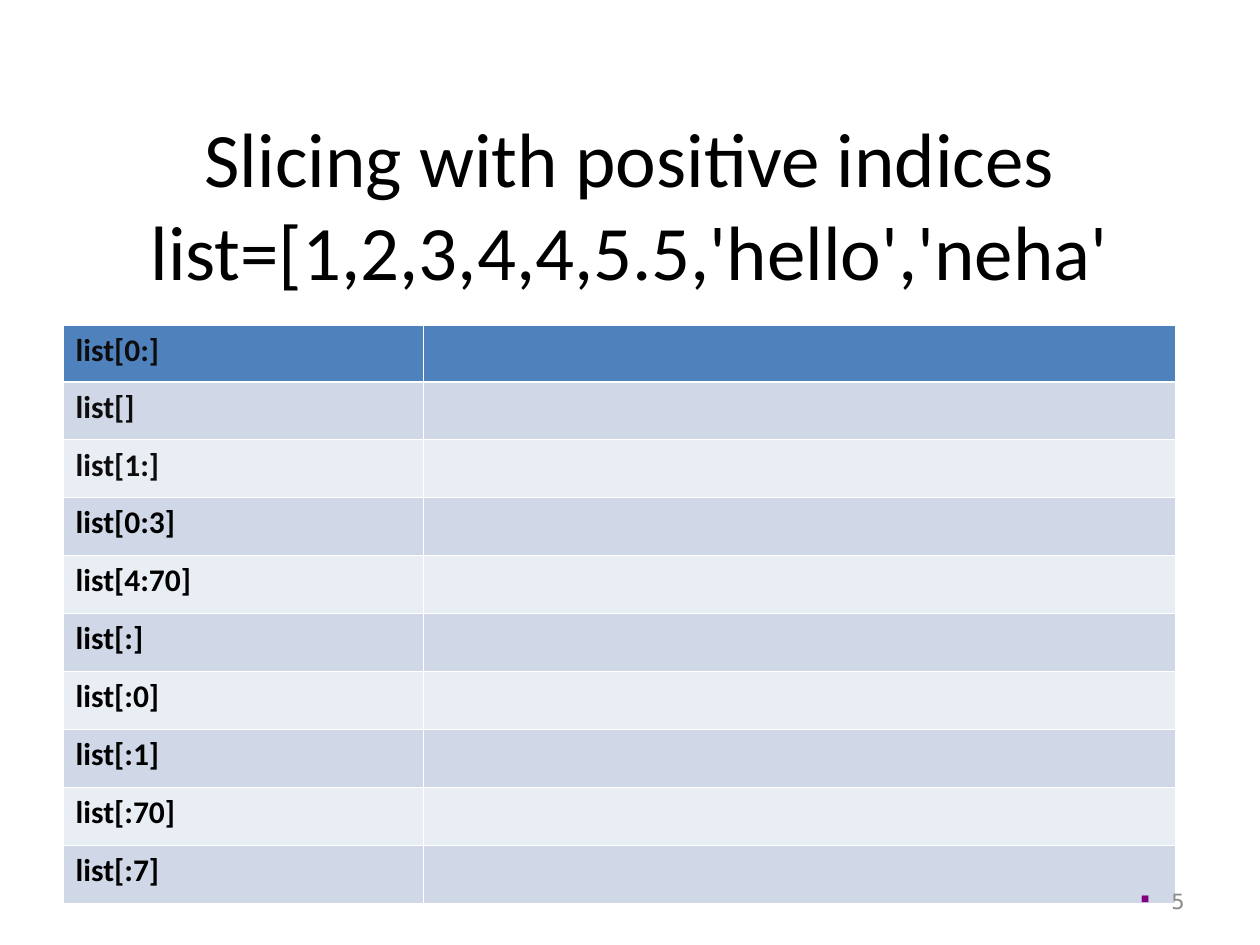
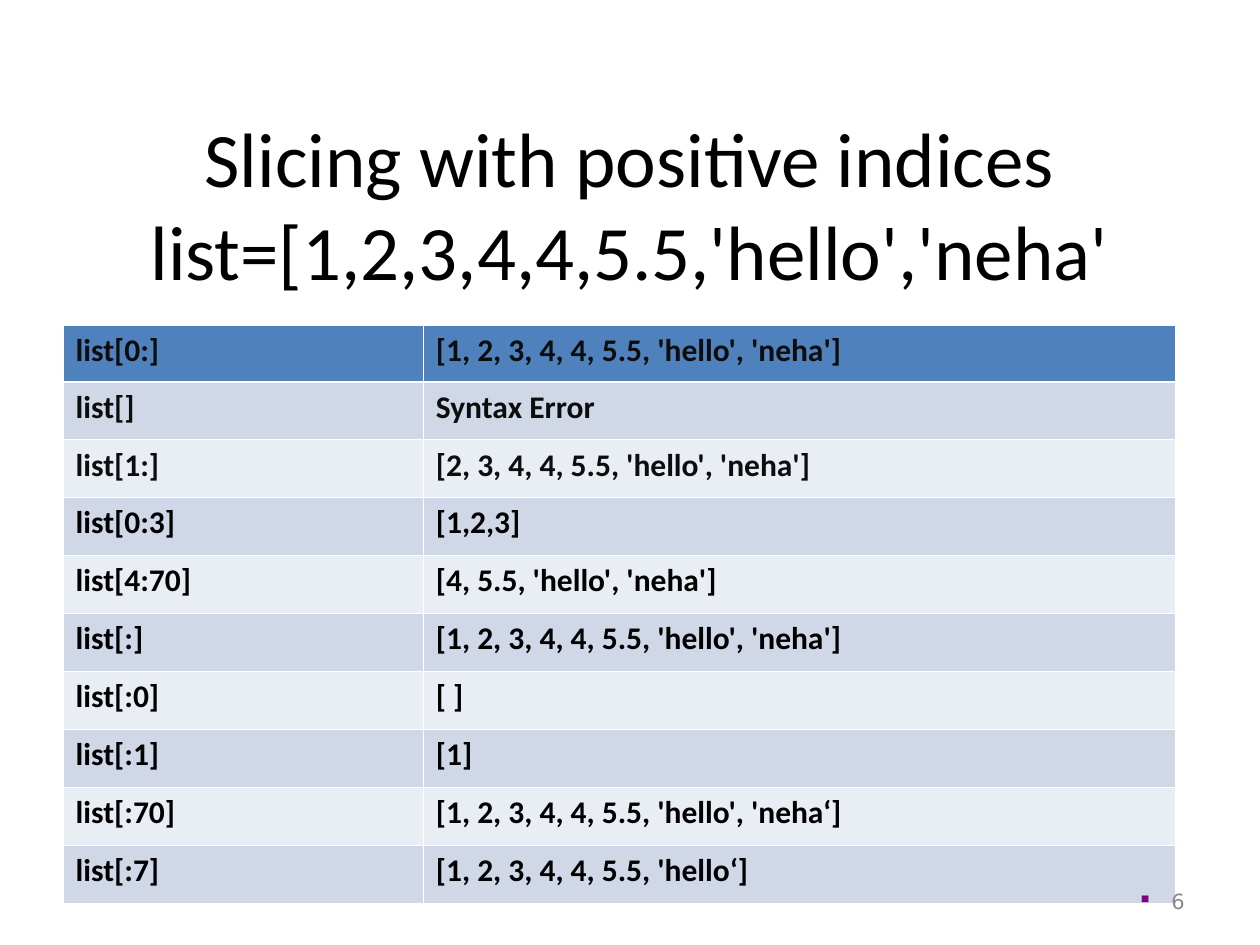
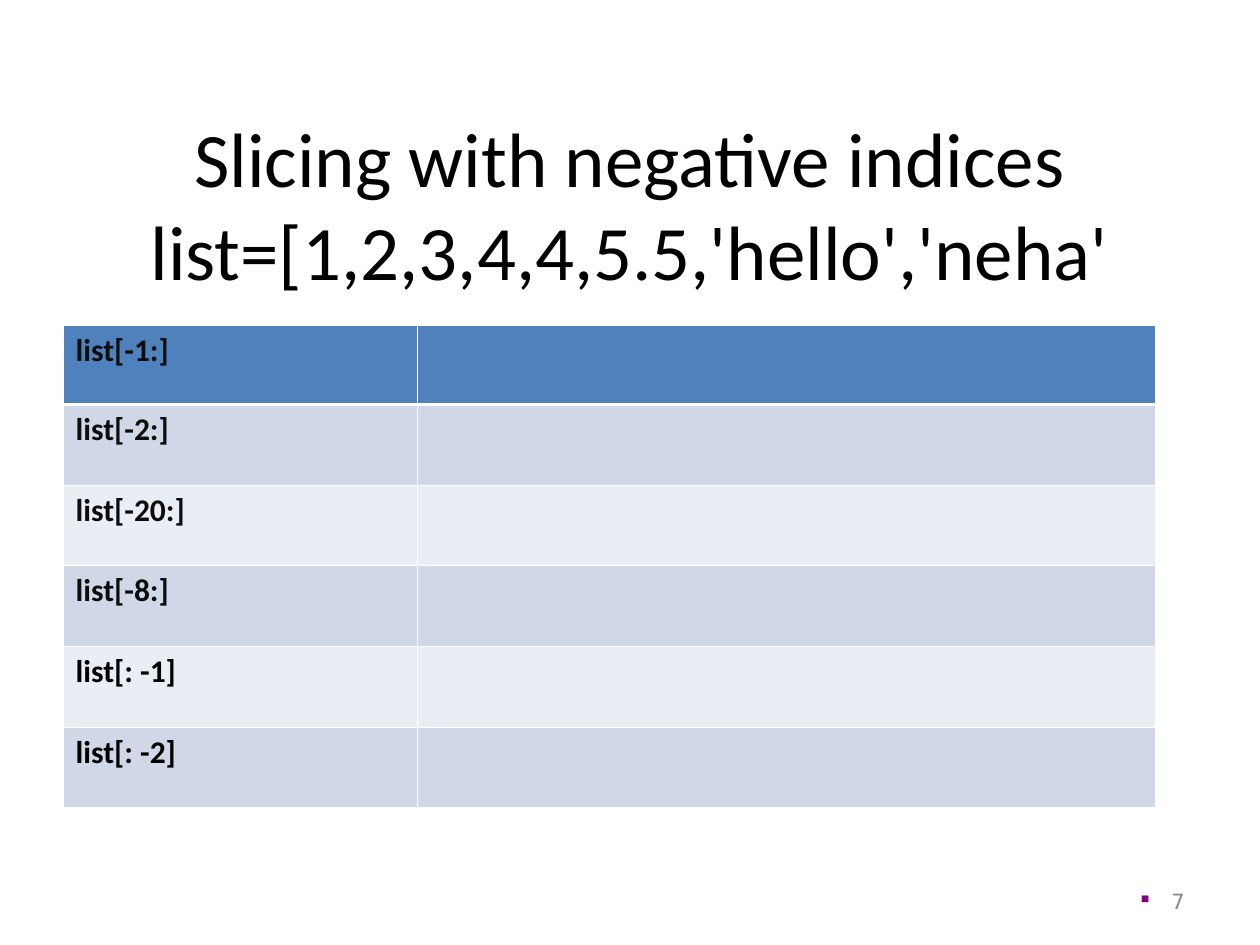
from lxml import etree
from pptx import Presentation
from pptx.dml.color import RGBColor
from pptx.enum.text import MSO_ANCHOR, PP_ALIGN
from pptx.oxml.ns import qn
from pptx.util import Inches, Pt

BLACK = RGBColor(0x00, 0x00, 0x00)
SOFT_BLACK = RGBColor(0x0D, 0x0D, 0x0D)
HEADER_BLUE = RGBColor(0x4F, 0x81, 0xBD)
BAND_DARK = RGBColor(0xD0, 0xD8, 0xE8)
BAND_LIGHT = RGBColor(0xE9, 0xED, 0xF4)
WHITE = RGBColor(0xFF, 0xFF, 0xFF)
GREY = RGBColor(0x89, 0x89, 0x89)
PURPLE = RGBColor(0x80, 0x00, 0x80)
THIN, THICK = Pt(0.45), Pt(1.47)

LIST_LINE = "list=[1,2,3,4,4,5.5,'hello','neha'"
POSITIVE = ["list[0:]", "list[]", "list[1:]", "list[0:3]", "list[4:70]",
            "list[:]", "list[:0]", "list[:1]", "list[:70]", "list[:7]"]
RESULTS = ["[1, 2, 3, 4, 4, 5.5, 'hello', 'neha']", "Syntax Error",
           "[2, 3, 4, 4, 5.5, 'hello', 'neha']", "[1,2,3]",
           "[4, 5.5, 'hello', 'neha']",
           "[1, 2, 3, 4, 4, 5.5, 'hello', 'neha']", "[ ]", "[1]",
           "[1, 2, 3, 4, 4, 5.5, 'hello', 'neha‘]",
           "[1, 2, 3, 4, 4, 5.5, 'hello‘]"]
NEGATIVE = ["list[-1:]", "list[-2:]", "list[-20:]", "list[-8:]",
            "list[: -1]", "list[: -2]"]

# number, title, slices, results, column widths, header and row height, soft rows
SLIDES = [
    (5, "Slicing with positive indices", POSITIVE, [""] * len(POSITIVE),
     (2.86, 5.97), 0.45, 0.46, 3),
    (6, "Slicing with positive indices", POSITIVE, RESULTS,
     (2.86, 5.97), 0.45, 0.46, 3),
    (7, "Slicing with negative indices", NEGATIVE, [""] * len(NEGATIVE),
     (2.81, 5.86), 0.63, 0.64, 4),
]


def format_runs(p, font, size, color, bold=False):
    for r in p.runs:
        r.font.name = font
        r.font.size = Pt(size)
        r.font.color.rgb = color
        r.font.bold = bold


def set_borders(cell, top, bottom):
    """Draw white cell borders; the sides are always thin."""
    tcPr = cell._tc.get_or_add_tcPr()
    sides = (("a:lnL", THIN), ("a:lnR", THIN), ("a:lnT", top), ("a:lnB", bottom))
    for i, (tag, width) in enumerate(sides):
        ln = etree.Element(qn(tag), w=str(int(width)))
        fill = etree.SubElement(ln, qn("a:solidFill"))
        etree.SubElement(fill, qn("a:srgbClr"), val=str(WHITE))
        tcPr.insert(i, ln)


prs = Presentation()
prs.slide_width, prs.slide_height = Inches(10), Inches(7.5)

for number, title, slices, results, widths, header_h, row_h, soft_rows in SLIDES:
    s = prs.slides.add_slide(prs.slide_layouts[6])

    tf = s.shapes.add_textbox(Inches(0.5), Inches(0.3), Inches(9), Inches(1.25)).text_frame
    tf.word_wrap = True
    tf.vertical_anchor = MSO_ANCHOR.TOP
    tf.margin_top, tf.margin_bottom = Inches(0.58), 0
    p = tf.paragraphs[0]
    p.text = f"{title}\v{LIST_LINE}"
    p.alignment = PP_ALIGN.CENTER
    format_runs(p, "Calibri", 44, BLACK)

    last = len(slices) - 1
    table = s.shapes.add_table(
        len(slices), 2, Inches(0.5), Inches(2.58),
        Inches(sum(widths)), Inches(header_h + last * row_h)).table
    for column, width in zip(table.columns, widths):
        column.width = Inches(width)
    for i, row in enumerate(zip(slices, results)):
        table.rows[i].height = Inches(row_h if i else header_h)
        band = BAND_DARK if i % 2 else BAND_LIGHT
        for j, text in enumerate(row):
            cell = table.cell(i, j)
            cell.fill.solid()
            cell.fill.fore_color.rgb = band if i else HEADER_BLUE
            set_borders(cell, THICK if i == 1 else THIN, THICK if i == 0 else THIN)
            if text:
                cell.text_frame.text = text
                color = SOFT_BLACK if i < soft_rows else BLACK
                format_runs(cell.text_frame.paragraphs[0], "Calibri", 18, color, True)

    tf = s.shapes.add_textbox(Inches(7.17), Inches(6.95), Inches(2.33), Inches(0.4)).text_frame
    tf.word_wrap = True
    tf.vertical_anchor = MSO_ANCHOR.MIDDLE
    p = tf.paragraphs[0]
    p.text = str(number)
    p.alignment = PP_ALIGN.RIGHT
    p.space_before = Pt(5)
    format_runs(p, "DejaVu Sans", 12, GREY)
    pPr = p._p.get_or_add_pPr()
    pPr.set("marL", str(Inches(0.24)))
    pPr.set("indent", str(-Inches(0.24)))
    bullet_color = etree.SubElement(pPr, qn("a:buClr"))
    etree.SubElement(bullet_color, qn("a:srgbClr"), val=str(PURPLE))
    etree.SubElement(pPr, qn("a:buSzPct"), val="55000")
    etree.SubElement(pPr, qn("a:buChar"), char="■")

prs.save("out.pptx")
